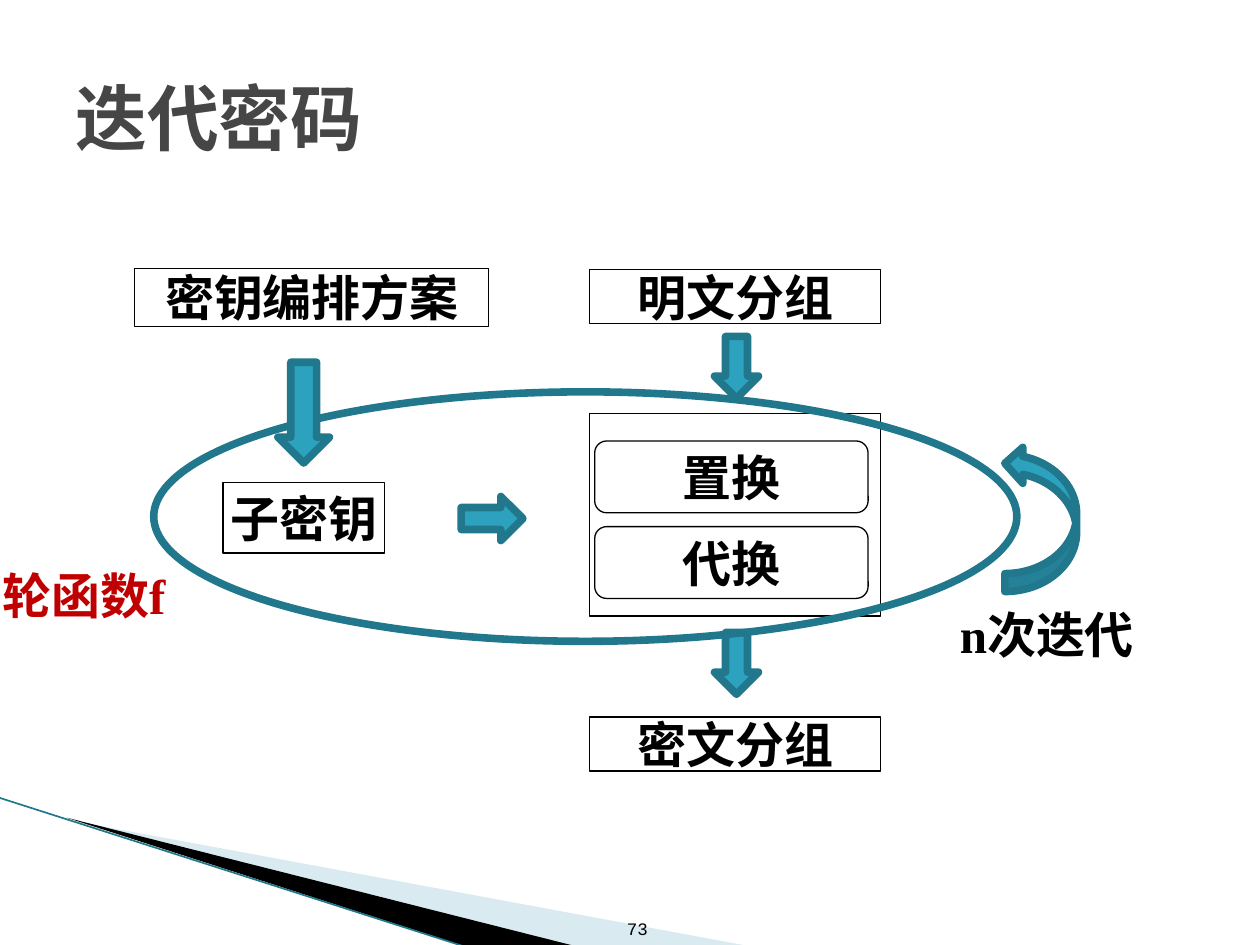
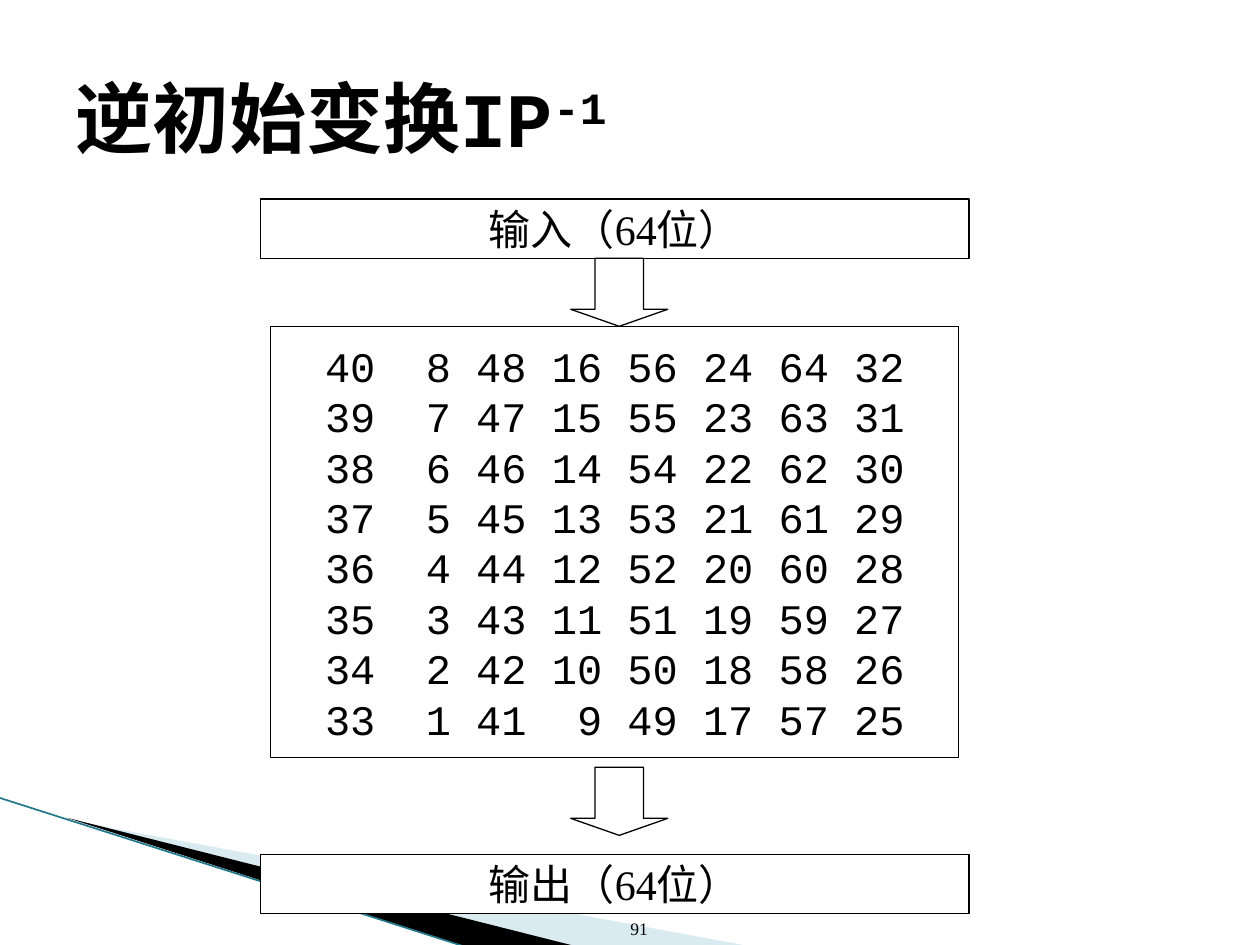
from lxml import etree
from pptx import Presentation
from pptx.dml.color import RGBColor
from pptx.enum.shapes import MSO_CONNECTOR, MSO_SHAPE
from pptx.enum.text import MSO_ANCHOR, PP_ALIGN
from pptx.oxml.ns import qn
from pptx.util import Inches, Pt

BLACK = RGBColor(0x00, 0x00, 0x00)
WHITE = RGBColor(0xFF, 0xFF, 0xFF)
GREY = RGBColor(0x46, 0x46, 0x46)
RED = RGBColor(0xC0, 0x00, 0x00)
TEAL = RGBColor(0x2D, 0xA2, 0xBF)
DEEP = RGBColor(0x21, 0x78, 0x8D)
PALE = RGBColor(0xA0, 0xCB, 0xDC)

MONO = "Courier New"
SERIF = "Times New Roman"

RECT = MSO_SHAPE.RECTANGLE
ROUND = MSO_SHAPE.ROUNDED_RECTANGLE
OVAL = MSO_SHAPE.OVAL
RIGHT = MSO_SHAPE.RIGHT_ARROW
DOWN = MSO_SHAPE.DOWN_ARROW
CURVE = MSO_SHAPE.CURVED_UP_ARROW
STRAIGHT = MSO_CONNECTOR.STRAIGHT
MIDDLE, TOP, BOTTOM = MSO_ANCHOR.MIDDLE, MSO_ANCHOR.TOP, MSO_ANCHOR.BOTTOM
LEFT, CENTER, FLUSH = PP_ALIGN.LEFT, PP_ALIGN.CENTER, PP_ALIGN.RIGHT


def style(para, size, face, color=BLACK, bold=False, align=LEFT):
    para.alignment = align
    font = para.font
    font.size, font.name, font.bold = Pt(size), face, bold
    font.color.rgb = color


def label(slide, box, text, size, face, color=BLACK, bold=False,
          align=LEFT, anchor=TOP):
    frame = slide.shapes.add_textbox(*map(Inches, box)).text_frame
    frame.word_wrap = True
    frame.vertical_anchor = anchor
    para = frame.paragraphs[0]
    para.text = text
    style(para, size, face, color, bold, align)
    return para


def shape(slide, kind, box, fill=WHITE, line=BLACK, width=0.75, turn=0):
    item = slide.shapes.add_shape(kind, *map(Inches, box))
    item.shadow.inherit = False
    if fill is None:
        item.fill.background()
    else:
        item.fill.solid()
        item.fill.fore_color.rgb = fill
    item.line.color.rgb = line
    item.line.width = Pt(width)
    item.rotation = turn
    return item


def block(slide, box, text, size, bold=False, kind=RECT):
    """Draw a white outlined box with one centred line of text."""
    frame = shape(slide, kind, box).text_frame
    frame.word_wrap = False
    frame.vertical_anchor = MIDDLE
    para = frame.paragraphs[0]
    para.text = text
    style(para, size, SERIF, bold=bold, align=CENTER)


def arrow(slide, box, kind=RIGHT, turn=0):
    shape(slide, kind, box, TEAL, DEEP, 4.33, turn)


def band(slide, points, color, alpha=None):
    start, *rest = [(Inches(x), Inches(y)) for x, y in points]
    path = slide.shapes.build_freeform(*start)
    path.add_line_segments(rest)
    item = path.convert_to_shape()
    item.shadow.inherit = False
    item.fill.solid()
    item.fill.fore_color.rgb = color
    item.line.fill.background()
    if alpha:
        tint = item._element.spPr.find(qn("a:solidFill"))[0]
        etree.SubElement(tint, qn("a:alpha"), val=str(alpha * 1000))


def base(deck, title, size, color, page, face):
    """Add a slide with corner bands, page number and title."""
    slide = deck.slides.add_slide(deck.slide_layouts[6])
    band(slide, [(0.55, 6.51), (5.95, 7.51), (4.56, 7.51)], PALE, 40)
    band(slide, [(0.53, 6.49), (4.57, 7.51), (3.72, 7.52)], BLACK)
    edge = slide.shapes.add_connector(
        STRAIGHT, *map(Inches, (-0.01, 6.33, 3.71, 7.52)))
    edge.line.color.rgb = DEEP
    edge.line.width = Pt(0.95)
    etree.SubElement(edge._element.spPr, qn("a:effectLst"))
    label(slide, (4.68, 7.01, 0.56, 0.49), page, 10, face,
          align=FLUSH, anchor=BOTTOM)
    head = label(slide, (0.5, 0.3, 9, 1.25), title, size, MONO, color,
                 bold=True, anchor=MIDDLE)
    return slide, head


def matrix(slide, box):
    """List the inverse permutation in right-aligned columns."""
    frame = shape(slide, RECT, box).text_frame
    frame.word_wrap = True
    frame.vertical_anchor = MIDDLE
    frame.margin_left = Inches(0.43)
    for row in range(8):
        para = frame.paragraphs[0] if row == 0 else frame.add_paragraph()
        cells = [n + 8 * col - row for col in range(4) for n in (40, 8)]
        para.text = "\t".join(map(str, cells))
        tabs = etree.SubElement(para._p.get_or_add_pPr(), qn("a:tabLst"))
        for col in range(1, 8):
            stop = Inches(0.4 + 0.6 * col)
            etree.SubElement(tabs, qn("a:tab"), pos=str(stop), algn="r")
        style(para, 24, MONO)


def cipher(deck):
    slide, _ = base(deck, "迭代密码", 41, GREY, "73", MONO)
    shape(slide, RECT, (4.68, 3.28, 2.31, 1.61))
    for text, top in (("明文分组", 2.14), ("密文分组", 5.69)):
        block(slide, (4.68, top, 2.31, 0.43), text, 28, True)
    for text, top in (("置换", 3.5), ("代换", 4.18)):
        block(slide, (4.72, top, 2.17, 0.57), text, 28, True, ROUND)
    block(slide, (1.77, 3.83, 1.28, 0.56), "子密钥", 28, True)
    block(slide, (1.07, 2.13, 2.81, 0.46), "密钥编排方案", 28, True)
    label(slide, (7.52, 4.75, 1.6, 0.57), "n次迭代", 28, SERIF, bold=True)
    arrow(slide, (7.68, 3.83, 1.16, 0.57), CURVE, 270)
    arrow(slide, (3.66, 3.94, 0.49, 0.35))
    for top in (2.74, 5.09):
        arrow(slide, (5.6, top, 0.49, 0.35), turn=90)
    shape(slide, OVAL, (1.22, 3.11, 6.85, 1.98), None, DEEP, 4.33)
    label(slide, (-0.08, 4.44, 1.7, 0.57), "轮函数f", 28, SERIF, RED, True)
    arrow(slide, (2.01, 3.07, 0.8, 0.41), turn=90)


def inverse(deck):
    slide, head = base(deck, "逆初始变换IP", 44, BLACK, "91", SERIF)
    power = head.add_run()
    power.text = "-1"
    power._r.get_or_add_rPr().set("baseline", "30000")
    for text, top in (("输入（64位）", 1.58), ("输出（64位）", 6.78)):
        block(slide, (2.07, top, 5.62, 0.47), text, 24)
    matrix(slide, (2.15, 2.59, 5.46, 3.42))
    for top in (2.05, 6.09):
        item = shape(slide, DOWN, (4.53, top, 0.77, 0.54))
        item.adjustments[0] = 0.5
        item.adjustments[1] = 0.25


def main():
    deck = Presentation()
    deck.slide_width, deck.slide_height = Inches(10), Inches(7.5)
    cipher(deck)
    inverse(deck)
    deck.save("out.pptx")


if __name__ == "__main__":
    main()
